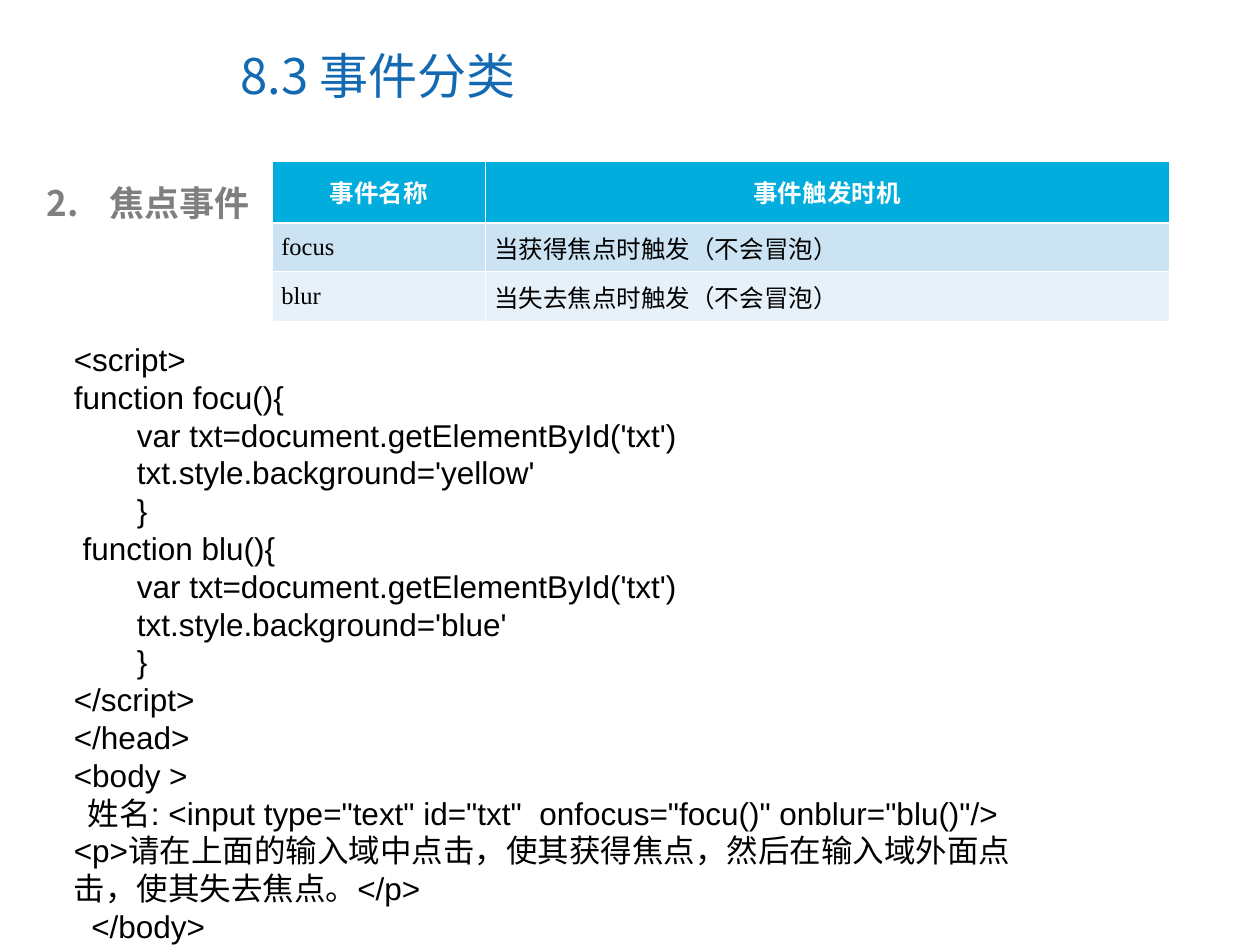
from lxml import etree
from pptx import Presentation
from pptx.dml.color import RGBColor
from pptx.enum.text import MSO_ANCHOR, MSO_AUTO_SIZE, PP_ALIGN
from pptx.oxml.ns import qn
from pptx.util import Cm, Pt

LEFT, CENTER = PP_ALIGN.LEFT, PP_ALIGN.CENTER
TOP, MIDDLE = MSO_ANCHOR.TOP, MSO_ANCHOR.MIDDLE
NO_FIT = MSO_AUTO_SIZE.NONE

CJK = "Noto Sans CJK SC"
GRAY = "7F7F7F"
EVENTS = [
    ("事件名称", "事件触发时机"),
    ("focus", "当获得焦点时触发（不会冒泡）"),
    ("blur", "当失去焦点时触发（不会冒泡）"),
]
ROW_FILLS = ["00ADDC", "CBE3F2", "E7F1F9"]
CODE = """<script>
function focu(){
\tvar txt=document.getElementById('txt')
\ttxt.style.background='yellow'
\t}
 function blu(){
\tvar txt=document.getElementById('txt')
\ttxt.style.background='blue'
\t}
</script>
</head>
<body >
  姓名: <input type="text" id="txt"  onfocus="focu()" onblur="blu()"/>
<p>请在上面的输入域中点击，使其获得焦点，然后在输入域外面点击，使其失去焦点。</p>
  </body>"""


def rgb(color):
    return RGBColor.from_string(color)


def style(p, size, font, color, bold=False, align=LEFT):
    """Format a paragraph and its runs, with a separate East Asian font."""
    p.alignment = align
    p.space_before = Pt(0)
    for r in p.runs:
        r.font.size = Pt(size)
        r.font.name = font
        r.font.bold = bold
        r.font.color.rgb = rgb(color)
        ea = etree.SubElement(r.font._element, qn("a:ea"))
        ea.set("typeface", CJK)


def place(sp, box, anchor=TOP):
    """Move a text shape to a box given in cm and fix its frame."""
    sp.left, sp.top, sp.width, sp.height = (Cm(v) for v in box)
    tf = sp.text_frame
    tf.word_wrap = True
    tf.auto_size = NO_FIT
    tf.vertical_anchor = anchor
    return tf


def add_title(s, box):
    tf = place(s.shapes.title, box, MIDDLE)
    tf.text = "8.3 事件分类"
    style(tf.paragraphs[0], 28, CJK, "1369B2")


def add_heading(s, box):
    tf = place(s.placeholders[1], box)
    tf.text = "焦点事件"
    p = tf.paragraphs[0]
    # Hanging number that starts at 2
    pPr = p._p.get_or_add_pPr()
    pPr.set("marL", str(Cm(1.27)))
    pPr.set("indent", str(-Cm(1.27)))
    clr = etree.SubElement(pPr, qn("a:buClr"))
    etree.SubElement(clr, qn("a:srgbClr")).set("val", GRAY)
    num = etree.SubElement(pPr, qn("a:buAutoNum"))
    num.set("type", "arabicPeriod")
    num.set("startAt", "2")
    style(p, 20, CJK, GRAY, bold=True)


def set_borders(cell, widths):
    """Draw white borders; widths maps each side to points."""
    tcPr = cell._tc.get_or_add_tcPr()
    for i, (side, width) in enumerate(widths.items()):
        ln = etree.Element(qn("a:" + side), w=str(Pt(width)))
        fill = etree.SubElement(ln, qn("a:solidFill"))
        etree.SubElement(fill, qn("a:srgbClr")).set("val", "FFFFFF")
        tcPr.insert(i, ln)


def add_event_table(s, box):
    left, top, width, height = box
    frame = s.shapes.add_table(len(EVENTS), 2, Cm(left), Cm(top), Cm(width), Cm(height))
    table = frame.table
    name_width, header_height = 4.29, 1.24
    table.columns[0].width = Cm(name_width)
    table.columns[1].width = Cm(width - name_width)
    for i, values in enumerate(EVENTS):
        header = i == 0
        table.rows[i].height = Cm(header_height if header else (height - header_height) / 2)
        for j, value in enumerate(values):
            cell = table.cell(i, j)
            cell.text = value
            cell.vertical_anchor = MIDDLE
            cell.margin_left = cell.margin_right = Cm(0.2 if header else 0.18)
            cell.fill.solid()
            cell.fill.fore_color.rgb = rgb(ROW_FILLS[i])
            set_borders(cell, {"lnL": 0.45, "lnR": 0.45,
                               "lnT": 1.47 if i == 1 else 0.45,
                               "lnB": 1.47 if header else 0.45})
            p = cell.text_frame.paragraphs[0]
            if header:
                style(p, 14, CJK, "FFFFFF", bold=True, align=CENTER)
            else:
                style(p, 14, "Times New Roman", "000000")


def add_code(s, box):
    sp = s.shapes.add_textbox(0, 0, 0, 0)
    tf = place(sp, box)
    tf.text = CODE
    for p in tf.paragraphs:
        style(p, 18, "Arial", "000000")


def main():
    prs = Presentation()
    prs.slide_width, prs.slide_height = Cm(25.4), Cm(19.05)
    s = prs.slides.add_slide(prs.slide_layouts[1])
    add_title(s, (4.6, 0.43, 13.1, 2.16))
    add_heading(s, (0.69, 3.53, 23.42, 1.12))
    add_event_table(s, (5.49, 3.25, 18.08, 3.22))
    add_code(s, (1.24, 6.73, 19.84, 12.45))
    prs.save("out.pptx")


if __name__ == "__main__":
    main()
